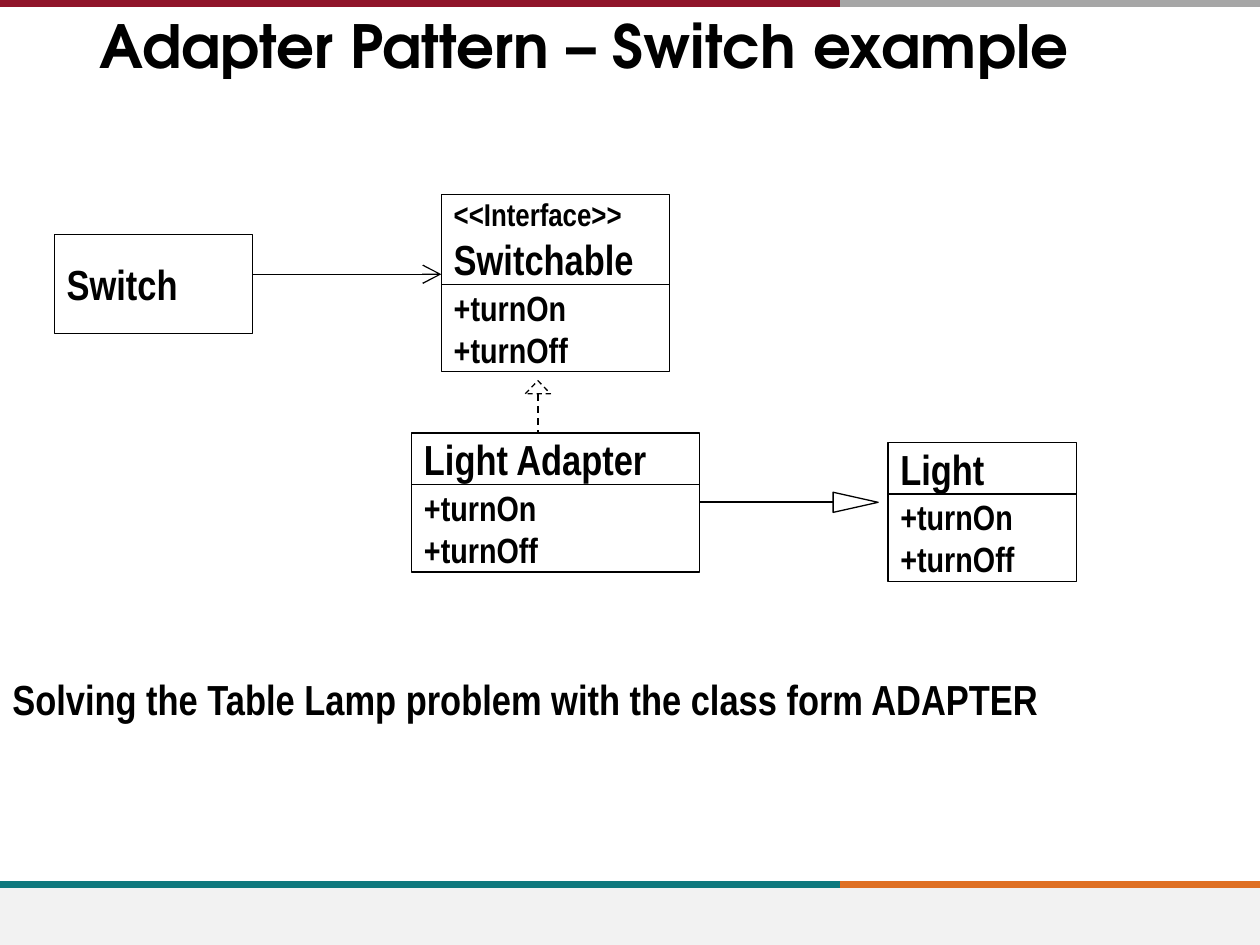
from lxml import etree
from pptx import Presentation
from pptx.dml.color import RGBColor
from pptx.enum import dml, shapes, text
from pptx.oxml import ns
from pptx.util import Pt

NARROW = "Arial Narrow"
METHODS = "+turnOn\v+turnOff"


def color(code):
    """Turn a hex string into a colour."""
    return RGBColor.from_string(code)


def style(frame, sizes, face=NARROW):
    """Format the runs of a frame, one size per run."""
    frame.word_wrap = True
    para = frame.paragraphs[0]
    para.alignment = text.PP_ALIGN.LEFT
    for run, size in zip(para.runs, sizes):
        run.font.size = Pt(size)
        run.font.name = face
        run.font.bold = True
        run.font.color.rgb = color("000000")


def label(slide, box, words, size, face=NARROW):
    """Place a bold line of text."""
    frame = slide.shapes.add_textbox(*map(Pt, box)).text_frame
    frame.text = words
    style(frame, [size], face)


def outline(slide, kind, box):
    """Place an unfilled shape with a thin black edge."""
    shape = slide.shapes.add_shape(kind, *map(Pt, box))
    shape.shadow.inherit = False
    shape.fill.background()
    shape.line.color.rgb = color("000000")
    shape.line.width = Pt(0.75)
    return shape


def cell(slide, box, words, sizes):
    """Place one compartment of a class box."""
    frame = outline(slide, shapes.MSO_SHAPE.RECTANGLE, box).text_frame
    frame.text = words
    frame.vertical_anchor = text.MSO_ANCHOR.MIDDLE
    style(frame, sizes)


def klass(slide, box, split, name, sizes):
    """Draw a class box with its name above its methods."""
    left, top, width, height = box
    cell(slide, (left, top, width, split), name, sizes)
    cell(slide, (left, top + split, width, height - split), METHODS, [20, 20])


def rule(slide, start, end, code="000000", width=1):
    """Draw a straight line."""
    line = slide.shapes.add_connector(
        shapes.MSO_CONNECTOR.STRAIGHT, *map(Pt, start + end))
    line.line.color.rgb = color(code)
    line.line.width = Pt(width)
    etree.SubElement(line._element.spPr, ns.qn("a:effectLst"))
    return line


def stripe(slide, y, first, second):
    """Draw a two-colour stripe across the slide."""
    rule(slide, (480, y), (720, y), second, 4)
    rule(slide, (0, y), (480, y), first, 4)


def frame(slide):
    """Draw the stripes and the footer band."""
    stripe(slide, 505.5, "0F787D", "DF7023")
    band = slide.shapes.add_shape(
        shapes.MSO_SHAPE.RECTANGLE, Pt(0), Pt(507.5), Pt(720), Pt(32.5))
    band.shadow.inherit = False
    band.fill.solid()
    band.fill.fore_color.rgb = color("F2F2F2")
    band.line.fill.background()
    stripe(slide, 2, "90152A", "A6A6A6")


def diagram(slide):
    """Draw the classes and the links between them."""
    cell(slide, (31, 134, 113.5, 56.5), "Switch", [24])
    klass(slide, (252.2, 111.3, 130.3, 101), 51.3,
          "<<Interface>>\vSwitchable", [18, 24])
    klass(slide, (235.2, 247.4, 164.5, 79.5), 29.4, "Light Adapter", [24])
    klass(slide, (507.4, 252.9, 108, 79.5), 29.4, "Light", [24])

    use = rule(slide, (144.5, 156.7), (252.2, 156.7), width=0.75)
    etree.SubElement(use.line._get_or_add_ln(), ns.qn("a:tailEnd"),
                     type="arrow", w="lg", len="lg")

    tip = outline(slide, shapes.MSO_SHAPE.ISOSCELES_TRIANGLE,
                  (300.2, 217.5, 14.4, 7.5))
    stem = rule(slide, (307.4, 225), (307.4, 247.4))
    for part in (tip, stem):
        part.line.dash_style = dml.MSO_LINE.DASH

    head = outline(slide, shapes.MSO_SHAPE.ISOSCELES_TRIANGLE,
                   (483.2, 274.2, 11.5, 25.7))
    head.rotation = 90
    rule(slide, (476, 287), (399.7, 287))


def main():
    """Build and save the slide."""
    deck = Presentation()
    deck.slide_width, deck.slide_height = Pt(720), Pt(540)
    slide = deck.slides.add_slide(deck.slide_layouts[6])
    frame(slide)
    label(slide, (49.7, 1.8, 620.6, 104.4),
          "Adapter Pattern – Switch example", 34, "TeX Gyre Adventor")
    label(slide, (0, 381.6, 720, 36),
          "Solving the Table Lamp problem with the class form ADAPTER", 24)
    diagram(slide)
    deck.save("out.pptx")


if __name__ == "__main__":
    main()
